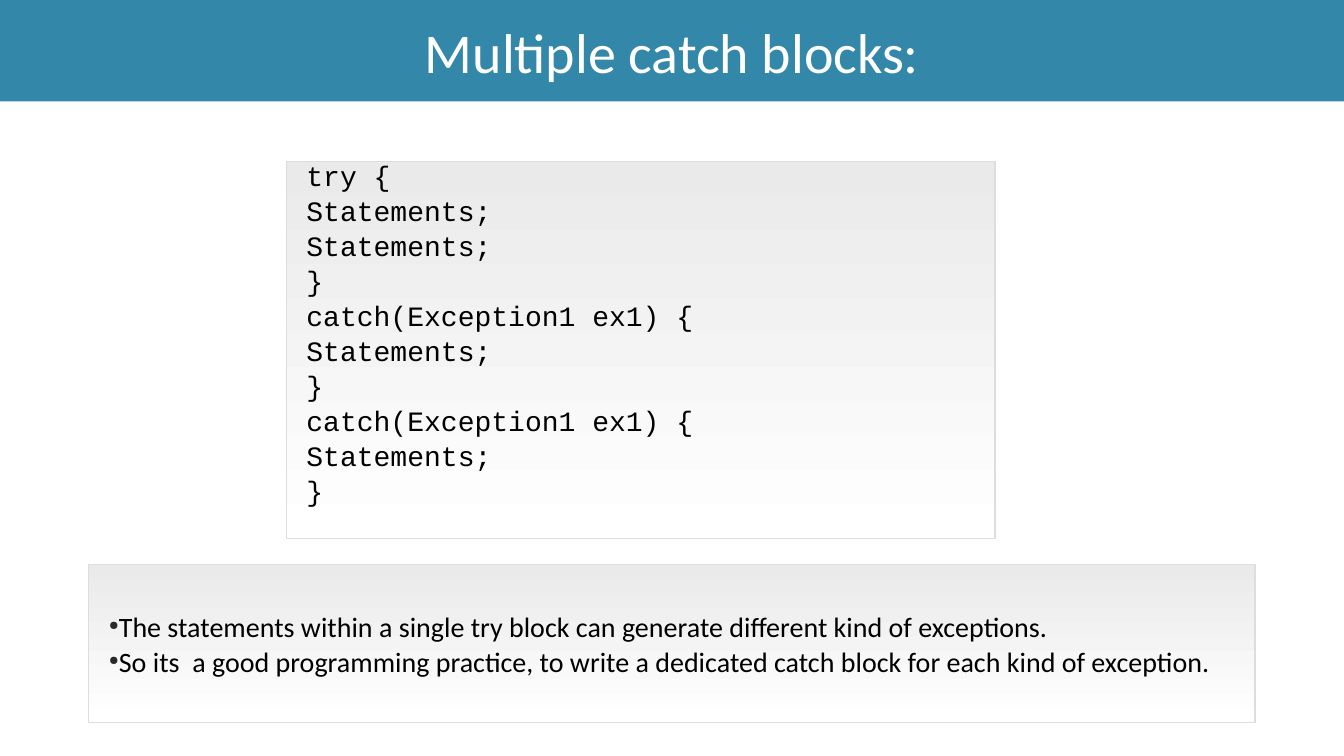
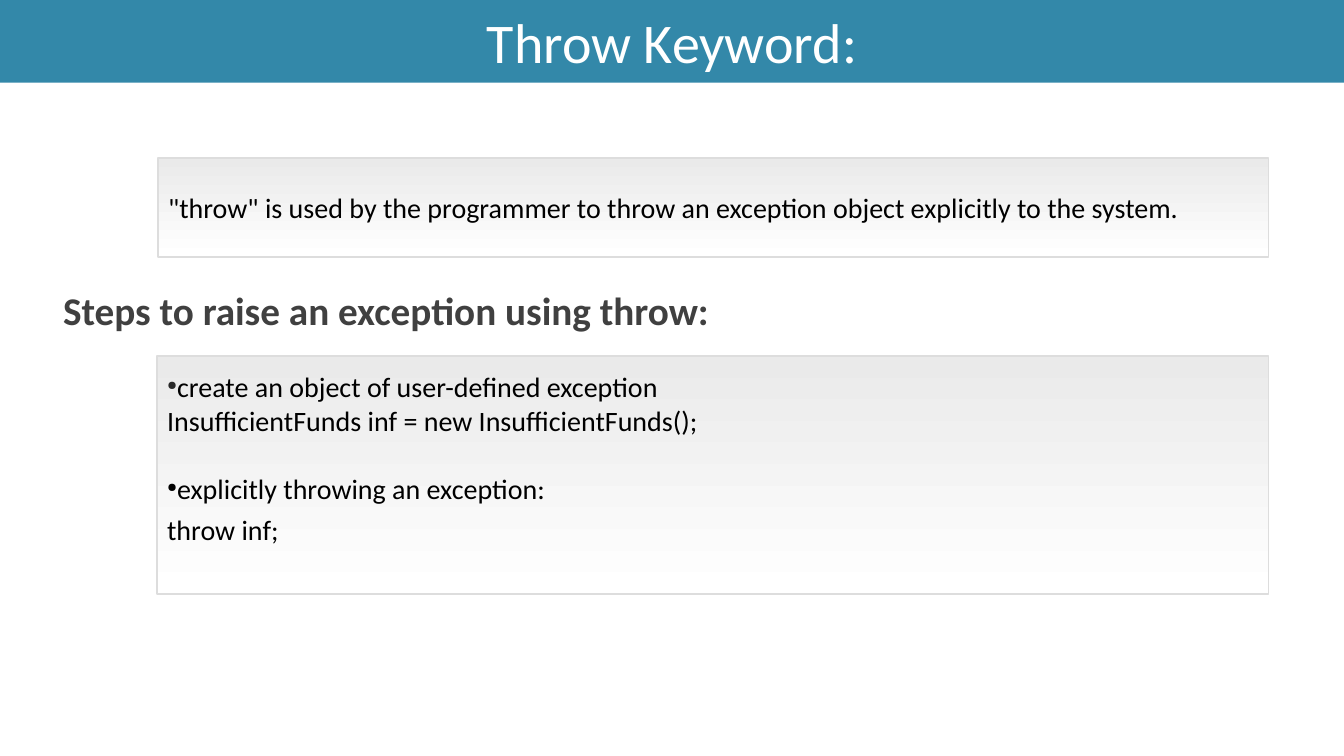
from lxml.etree import SubElement
from pptx import Presentation
from pptx.dml.color import RGBColor
from pptx.enum.shapes import MSO_SHAPE
from pptx.enum.text import MSO_ANCHOR, PP_ALIGN
from pptx.oxml.ns import qn
from pptx.util import Pt

# Theme
THEME = {
    "band": "3388A9", "top": "EAEAEA", "base": "FFFFFF", "edge": "DDDDDD",
    "dot": "292929", "wide": 960, "high": 540,
}
FONTS = {
    "title": {"name": "Calibri", "size": Pt(40), "color": "FFFFFF"},
    "head": {"name": "Calibri", "size": Pt(28), "bold": True, "color": "404040"},
    "body": {"name": "Calibri", "size": Pt(20), "color": "000000"},
    "code": {"name": "Courier New", "size": Pt(20), "color": "000000"},
}

# Paragraph formats
TIGHT = {"line_spacing": Pt(25)}
LOOSE = {"line_spacing": Pt(29.5)}
HEAD = {"line_spacing": 1.5}
MID = {"alignment": PP_ALIGN.CENTER}
GAP = {"space_before": Pt(24.4)}

# Content: panels hold (text, format, bullet colour)
CODE = """try {
Statements;
Statements;
}
catch(Exception1 ex1) {
Statements;
}
catch(Exception1 ex1) {
Statements;
}""".split("\n")
NOTES = [
    "The statements within a single try block can generate different kind of exceptions.",
    "So its  a good programming practice, to write a dedicated catch block for each kind of exception.",
]
STEPS = [
    ("create an object of user-defined exception", LOOSE, THEME["dot"]),
    ("InsufficientFunds inf = new InsufficientFunds();", {}, None),
    ("explicitly throwing an exception:", GAP, FONTS["body"]["color"]),
    ("throw inf;", LOOSE, None),
]
QUOTE = '"throw" is used by the programmer to throw an exception object explicitly to the system.'
SLIDES = [
    {"title": "Multiple catch blocks:", "band": 72.5, "parts": [
        {"at": (204.5, 115.2, 506.2, 269.3), "font": "code", "panel": True,
         "pad": (14.4, 0, 7.2, 22), "anchor": MSO_ANCHOR.BOTTOM,
         "lines": [(text, TIGHT, None) for text in CODE]},
        {"at": (63.4, 403.2, 833, 113), "font": "body", "panel": True,
         "pad": (14.4, 0, 7.2, 0), "anchor": MSO_ANCHOR.MIDDLE,
         "lines": [(text, TIGHT, THEME["dot"]) for text in NOTES]},
    ]},
    {"title": "Throw Keyword:", "band": 59, "parts": [
        {"at": (113, 113, 793, 70.6), "font": "body", "panel": True,
         "pad": (7.2,) * 4, "anchor": MSO_ANCHOR.MIDDLE,
         "lines": [(QUOTE, {}, None)]},
        {"at": (38, 184.3, 756, 53.3), "font": "head", "panel": False,
         "pad": (7.2, 3.6, 7.2, 3.6), "anchor": MSO_ANCHOR.TOP,
         "lines": [("Steps to raise an exception using throw:", HEAD, None)]},
        {"at": (112.3, 254.2, 793.7, 170), "font": "body", "panel": True,
         "pad": (7.2, 7.2, 7.2, 36.7), "anchor": MSO_ANCHOR.MIDDLE,
         "lines": STEPS},
    ]},
]


def rgb(key):
    return RGBColor.from_string(THEME[key])


def apply(obj, form):
    for key, val in form.items():
        if key == "color":
            obj.color.rgb = RGBColor.from_string(val)
        else:
            setattr(obj, key, val)


def add_dot(para, color):
    """Small round bullet with no hanging indent."""
    props = para._p.get_or_add_pPr()
    props.set("marL", "0")
    props.set("indent", "0")
    tint = SubElement(props, qn("a:buClr"))
    SubElement(tint, qn("a:srgbClr"), val=color)
    SubElement(props, qn("a:buSzPct"), val="45000")
    SubElement(props, qn("a:buChar"), char="●")


def write(shape, lines, font, pad, anchor):
    frame = shape.text_frame
    sides = ("margin_left", "margin_top", "margin_right", "margin_bottom")
    apply(frame, {"word_wrap": True, "vertical_anchor": anchor,
                  **{side: Pt(gap) for side, gap in zip(sides, pad)}})
    for i, (text, form, dot) in enumerate(lines):
        para = frame.add_paragraph() if i else frame.paragraphs[0]
        if dot:
            add_dot(para, dot)
        apply(para, {"alignment": PP_ALIGN.LEFT, **form})
        run = para.add_run()
        run.text = text
        apply(run.font, FONTS[font])


def add_rect(slide, at):
    shape = slide.shapes.add_shape(MSO_SHAPE.RECTANGLE, *map(Pt, at))
    shape.shadow.inherit = False
    return shape


def add_panel(slide, at):
    """Grey to white panel with a thin edge."""
    shape = add_rect(slide, at)
    shape.fill.gradient()
    shape.fill.gradient_angle = 270
    for stop, key in zip(shape.fill.gradient_stops, ("top", "base")):
        stop.color.rgb = rgb(key)
    shape.line.color.rgb = rgb("edge")
    shape.line.width = Pt(1)
    return shape


def add_band(slide, text, high):
    """Title band across the top."""
    band = add_rect(slide, (0, 0, THEME["wide"], high))
    band.fill.solid()
    band.fill.fore_color.rgb = rgb("band")
    band.line.fill.background()
    write(band, [(text, MID, None)], "title", (7.2, 3.6, 7.2, 3.6),
          MSO_ANCHOR.MIDDLE)


def main():
    deck = Presentation()
    deck.slide_width, deck.slide_height = Pt(THEME["wide"]), Pt(THEME["high"])
    for page in SLIDES:
        slide = deck.slides.add_slide(deck.slide_layouts[6])
        for part in page["parts"]:
            if part["panel"]:
                shape = add_panel(slide, part["at"])
            else:
                shape = slide.shapes.add_textbox(*map(Pt, part["at"]))
            write(shape, part["lines"], part["font"], part["pad"], part["anchor"])
        add_band(slide, page["title"], page["band"])
    deck.save("out.pptx")


if __name__ == "__main__":
    main()
